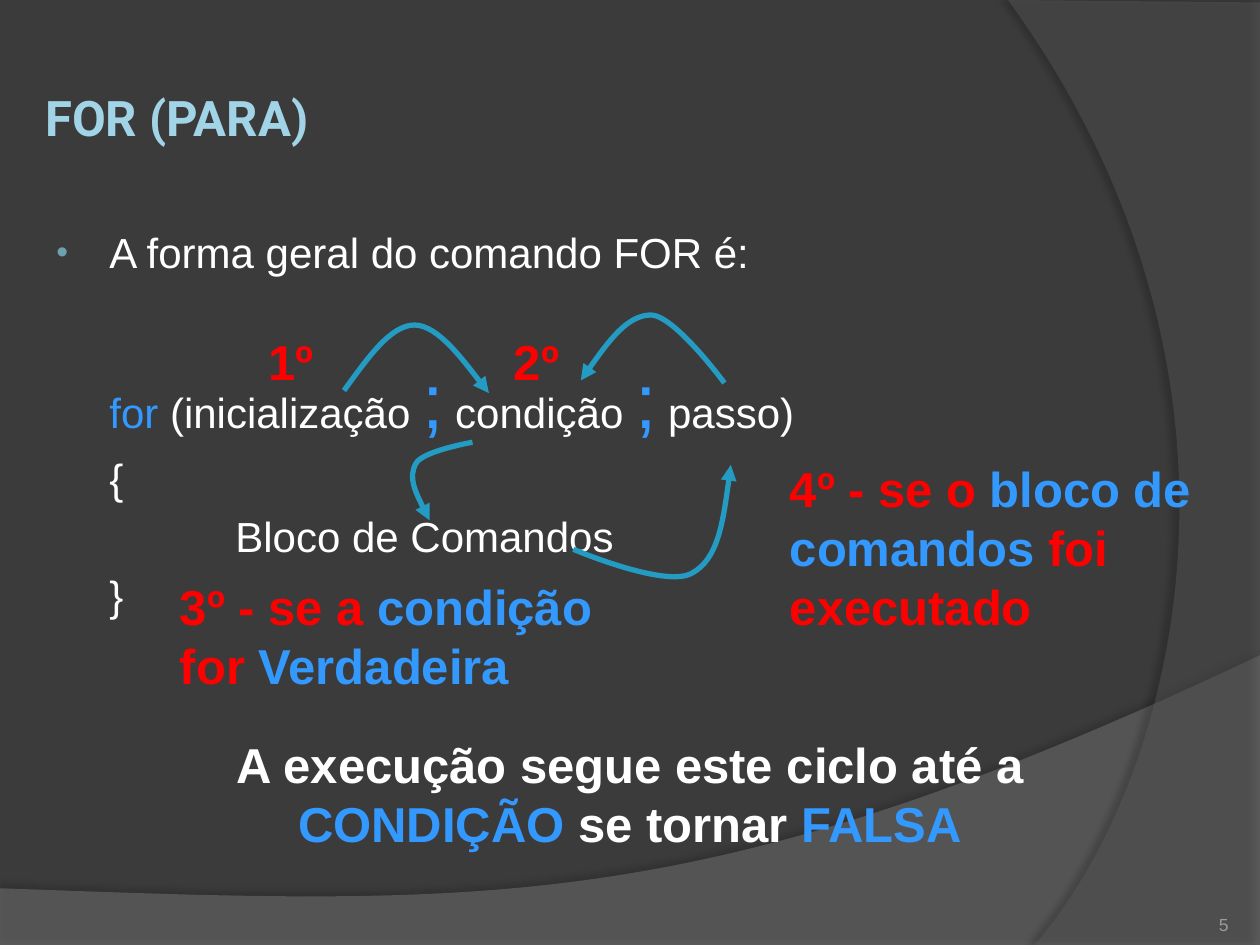
from lxml import etree
from pptx import Presentation
from pptx.dml.color import RGBColor
from pptx.enum.text import MSO_ANCHOR, PP_ALIGN
from pptx.oxml.ns import qn
from pptx.util import Inches, Pt

LEFT, CENTER, RIGHT = PP_ALIGN.LEFT, PP_ALIGN.CENTER, PP_ALIGN.RIGHT
MIDDLE, BOTTOM = MSO_ANCHOR.MIDDLE, MSO_ANCHOR.BOTTOM
COLORS = {
    "background": "3B3B3B", "wave": "7F7F7F", "arc": "5E5E5E",
    "title": "A1D4E7", "bullet": "6EA0B0", "white": "FFFFFF",
    "red": "FF0000", "blue": "3399FF", "arrow": "239BC2", "number": "9D9B9A",
}


def add_runs(paragraph, runs, size, bold=False):
    """Add (text, colour[, size]) runs in Arial."""
    for text, color, *own_size in runs:
        run = paragraph.add_run()
        run.text = text
        run.font.name = "Arial"
        run.font.size = Pt(own_size[0] if own_size else size)
        run.font.bold = bold
        run.font.color.rgb = RGBColor.from_string(COLORS[color])


def add_curve(start, segments, close=False):
    """Draw lines (one point) and cubic curves (two controls, end) from start."""
    builder = slide.shapes.build_freeform(Inches(start[0]), Inches(start[1]), scale=1.0)
    builder.add_line_segments(
        [(Inches(x), Inches(y)) for x, y in (segment[-1] for segment in segments)],
        close=close)
    curve = builder.convert_to_shape()
    curve.shadow.inherit = False
    steps = list(curve.element.iter(qn("a:lnTo")))
    for step, segment in zip(steps, segments):
        if len(segment) == 3:
            step.tag = qn("a:cubicBezTo")
            for index, (x, y) in enumerate(segment[:2]):
                control = etree.Element(qn("a:pt"), x=str(Inches(x) - curve.left),
                                        y=str(Inches(y) - curve.top))
                step.insert(index, control)
    return curve


prs = Presentation()
prs.slide_width, prs.slide_height = Inches(10), Inches(7.5)
slide = prs.slides.add_slide(prs.slide_layouts[5])
slide.background.fill.solid()
slide.background.fill.fore_color.rgb = RGBColor.from_string(COLORS["background"])

# Background shapes: colour, opacity, shadow opacity, distance, direction, outline
backdrops = [
    ("wave", 45, 35, 3.5, 270, (0, 7.05),
     [[(0, 7.51)], [(10, 7.51)], [(10, 5.2)], [(5.59, 7.29), (3.91, 7.19), (0, 7.05)]]),
    ("arc", 40, 45, 4, 180, (10, 0.02),
     [[(10, 7.5)], [(8.21, 7.5)], [(9.35, 6.19), (10.18, 3), (8, 0)]]),
]
for color, opacity, shade, distance, direction, start, segments in backdrops:
    backdrop = add_curve(start, segments, close=True)
    backdrop.fill.solid()
    backdrop.fill.fore_color.rgb = RGBColor.from_string(COLORS[color])
    backdrop.line.fill.background()
    properties = backdrop.element.spPr
    fill_color = properties.find(qn("a:solidFill"))[0]
    etree.SubElement(fill_color, qn("a:alpha"), val=str(opacity * 1000))
    shadow = etree.SubElement(
        properties.find(qn("a:effectLst")), qn("a:outerShdw"), blurRad=str(Pt(4)),
        dist=str(Pt(distance)), dir=str(direction * 60000), algn="ctr", rotWithShape="0")
    shadow_color = etree.SubElement(shadow, qn("a:srgbClr"), val="000000")
    etree.SubElement(shadow_color, qn("a:alpha"), val=str(shade * 1000))

# Title
title = slide.shapes.title
title.left, title.top = Inches(0.31), Inches(0.3)
title.width, title.height = Inches(9.38), Inches(1.25)
heading = title.text_frame
heading.text = "FOR (PARA)"
heading.vertical_anchor = MIDDLE
heading.margin_left = heading.margin_right = Inches(0.05)
heading.margin_top = heading.margin_bottom = Inches(0.05)
heading.paragraphs[0].alignment = LEFT
heading_font = heading.paragraphs[0].runs[0].font
heading_font.name, heading_font.size, heading_font.bold = "Roboto", Pt(28), True
heading_font.color.rgb = RGBColor.from_string(COLORS["title"])

# General form of the command: left margin, space before, runs
syntax_lines = [
    (0.46, 0, [("A forma geral do comando FOR é:", "white")]),
    (0.46, 42.5, [("for", "blue"), (" (inicialização ", "white"), (";", "blue", 44),
                  (" condição ", "white"), (";", "blue", 44), (" passo)", "white")]),
    (0.46, 4.7, [("{", "white")]),
    (1.46, 4.7, [("Bloco de Comandos", "white")]),
    (0.46, 4.7, [("}", "white")]),
]
syntax = slide.shapes.add_textbox(
    Inches(0.31), Inches(1.75), Inches(9.38), Inches(4.95)).text_frame
syntax.word_wrap = True
for index, (margin, space, runs) in enumerate(syntax_lines):
    line = syntax.add_paragraph() if index else syntax.paragraphs[0]
    line.space_before = Pt(space)
    indent = line._p.get_or_add_pPr()
    indent.set("marL", str(Inches(margin)))
    indent.set("indent", "0")
    if index == 0:
        indent.set("indent", str(Inches(-0.42)))
        bullet_color = etree.SubElement(indent, qn("a:buClr"))
        etree.SubElement(bullet_color, qn("a:srgbClr"), val=COLORS["bullet"])
        etree.SubElement(indent, qn("a:buSzPct"), val="80000")
        etree.SubElement(indent, qn("a:buFont"), typeface="Arial")
        etree.SubElement(indent, qn("a:buChar"), char="•")
    add_runs(line, runs, 24)

# Step labels and conclusion
labels = [
    (2.03, 2.58, 0.62, 0.57, LEFT, [("1º", "red")]),
    (3.98, 2.58, 0.62, 0.57, LEFT, [("2º", "red")]),
    (1.33, 4.53, 3.59, 1.04, LEFT, [("3º - se a ", "red"), ("condição", "blue"),
                                    (" for ", "red"), ("Verdadeira", "blue")]),
    (6.17, 3.59, 3.59, 1.51, LEFT, [("4º - se o ", "red"), ("bloco de comandos", "blue"),
                                    (" foi executado", "red")]),
    (1.72, 5.78, 6.56, 1.04, CENTER, [("A execução segue este ciclo até a ", "white"),
                                      ("CONDIÇÃO", "blue"), (" se tornar ", "white"),
                                      ("FALSA", "blue")]),
]
for left, top, width, height, alignment, runs in labels:
    label = slide.shapes.add_textbox(
        Inches(left), Inches(top), Inches(width), Inches(height)).text_frame
    label.word_wrap = True
    label.paragraphs[0].alignment = alignment
    add_runs(label.paragraphs[0], runs, 28, bold=True)

# Flow arrows, each running towards its arrowhead
flows = [
    ((2.73, 3.1), [[(2.92, 2.84), (3.1, 2.58), (3.29, 2.58)],
                   [(3.48, 2.58), (3.88, 3.12), (3.88, 3.12)]]),
    ((3.75, 3.51), [[(3.75, 3.51), (3.35, 3.58), (3.3, 3.68)],
                    [(3.24, 3.79), (3.32, 3.96), (3.41, 4.13)]]),
    ((4.55, 4.36), [[(4.55, 4.36), (5.28, 4.67), (5.49, 4.55)],
                    [(5.7, 4.44), (5.75, 4.07), (5.8, 3.69)]]),
    ((5.75, 3.04), [[(5.75, 3.04), (5.36, 2.51), (5.17, 2.5)],
                    [(4.98, 2.5), (4.79, 2.76), (4.61, 3.02)]]),
]
for start, segments in flows:
    flow = add_curve(start, segments)
    flow.fill.background()
    flow.line.color.rgb = RGBColor.from_string(COLORS["arrow"])
    flow.line.width = Pt(3)
    outline = flow.element.spPr.find(qn("a:ln"))
    etree.SubElement(outline, qn("a:round"))
    etree.SubElement(outline, qn("a:tailEnd"), type="triangle")

# Slide number
number = slide.shapes.add_textbox(
    Inches(8.92), Inches(7.02), Inches(0.83), Inches(0.4)).text_frame
number.word_wrap = True
number.vertical_anchor = BOTTOM
number.margin_left = number.margin_right = 0
number.margin_top = number.margin_bottom = 0
number.paragraphs[0].alignment = RIGHT
add_runs(number.paragraphs[0], [("5", "number")], 10)

prs.save("out.pptx")
